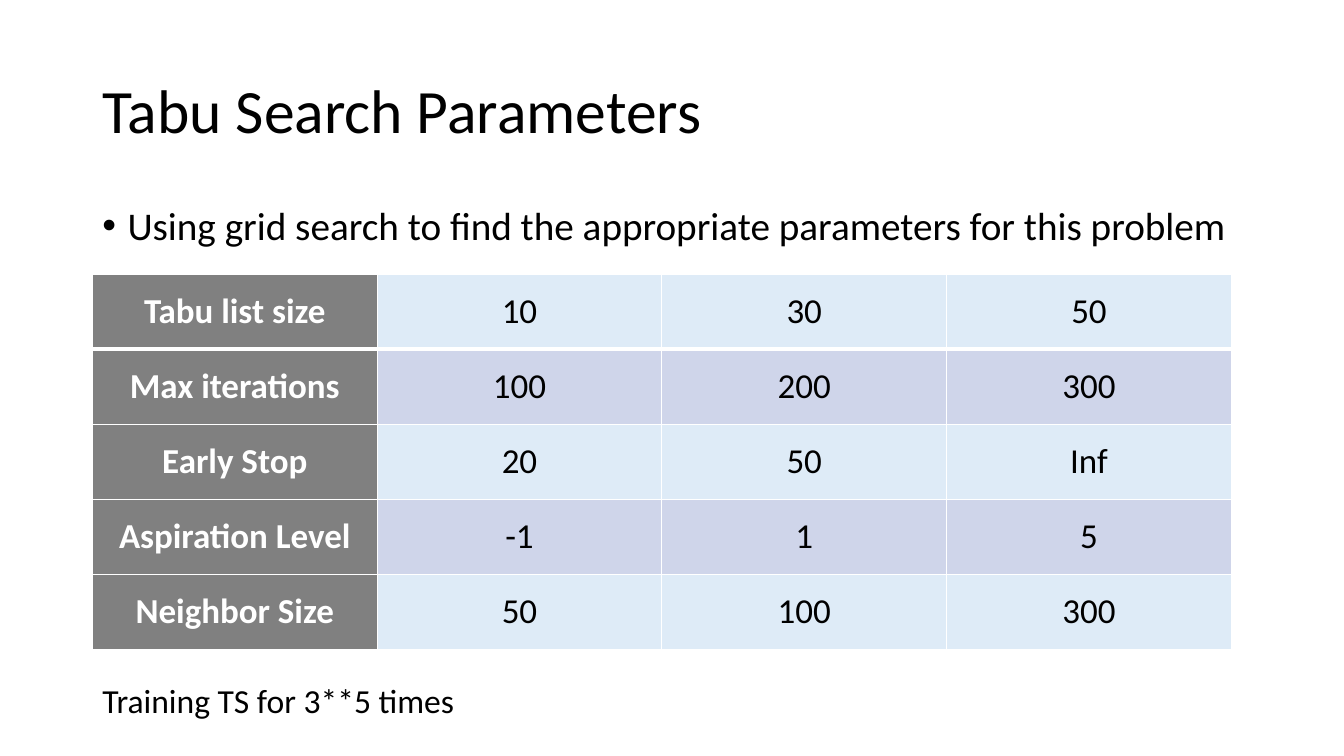
from dataclasses import dataclass

from lxml.etree import SubElement
from pptx import Presentation
from pptx.dml.color import RGBColor
from pptx.enum.text import MSO_ANCHOR as Anchor, MSO_AUTO_SIZE as AutoSize, PP_ALIGN as Align
from pptx.oxml.ns import qn
from pptx.util import Inches, Pt

# Grid of 160 columns by 90 rows
SLIDE_WIDTH, SLIDE_HEIGHT = Inches(13.333), Inches(7.5)
GRID_COLUMNS, GRID_ROWS = 160, 90
LEFT_MARGIN = 11
FONT = "Calibri"
COLORS = {
    "text": "000000",
    "white": "FFFFFF",
    "header": "808080",
    "light band": "DEEBF7",
    "dark band": "CFD5EA",
}


@dataclass
class Area:
    left: float
    top: float
    width: float
    height: float

    def to_emu(self) -> tuple[int, int, int, int]:
        return (across(self.left), down(self.top), across(self.width), down(self.height))


@dataclass
class Parameter:
    name: str
    values: tuple[str, ...]


PARAMETERS = [
    Parameter("Tabu list size", ("10", "30", "50")),
    Parameter("Max iterations", ("100", "200", "300")),
    Parameter("Early Stop", ("20", "50", "Inf")),
    Parameter("Aspiration Level", ("-1", "1", "5")),
    Parameter("Neighbor Size", ("50", "100", "300")),
]


def across(columns: float) -> int:
    return round(SLIDE_WIDTH * columns / GRID_COLUMNS)


def down(rows: float) -> int:
    return round(SLIDE_HEIGHT * rows / GRID_ROWS)


def add_run(paragraph, text: str, size: float, color: str = "text", bold: bool = False) -> None:
    run = paragraph.add_run()
    run.text = text
    run.font.name = FONT
    run.font.size = Pt(size)
    run.font.bold = bold
    run.font.color.rgb = RGBColor.from_string(COLORS[color])


def add_bullet(paragraph, indent: int) -> None:
    properties = paragraph._p.get_or_add_pPr()
    properties.set("marL", str(indent))
    properties.set("indent", str(-indent))
    SubElement(properties, qn("a:buFont"), typeface="Arial")
    SubElement(properties, qn("a:buChar"), char="•")


def add_text(slide, area: Area, text: str, size: float, wrap: bool = True):
    frame = slide.shapes.add_textbox(*area.to_emu()).text_frame
    frame.word_wrap = wrap
    add_run(frame.paragraphs[0], text, size)
    return frame


def set_borders(cell, top: float, bottom: float) -> None:
    properties = cell._tc.get_or_add_tcPr()
    for side, width in (("L", 1), ("R", 1), ("T", top), ("B", bottom)):
        line = SubElement(properties, qn(f"a:ln{side}"), w=str(Pt(width)))
        fill = SubElement(line, qn("a:solidFill"))
        SubElement(fill, qn("a:srgbClr"), val=COLORS["white"])


def format_cell(cell, text: str, row: int, is_header: bool) -> None:
    set_borders(cell, top=3 if row == 1 else 1, bottom=3 if row == 0 else 1)
    band = "dark band" if row % 2 else "light band"
    cell.fill.solid()
    cell.fill.fore_color.rgb = RGBColor.from_string(COLORS["header" if is_header else band])
    cell.vertical_anchor = Anchor.MIDDLE
    paragraph = cell.text_frame.paragraphs[0]
    paragraph.alignment = Align.CENTER
    add_run(paragraph, text, 25, "white" if is_header else "text", is_header)


def add_parameter_table(slide, area: Area, parameters: list[Parameter]) -> None:
    column_count = 1 + len(parameters[0].values)
    table = slide.shapes.add_table(len(parameters), column_count, *area.to_emu()).table
    table.first_row = False
    table.first_col = True
    for row, parameter in enumerate(parameters):
        for column, text in enumerate((parameter.name, *parameter.values)):
            format_cell(table.cell(row, column), text, row, column == 0)


def main() -> None:
    presentation = Presentation()
    presentation.slide_width, presentation.slide_height = SLIDE_WIDTH, SLIDE_HEIGHT
    slide = presentation.slides.add_slide(presentation.slide_layouts[5])

    # Title
    title = slide.shapes.title
    title.left, title.top, title.width, title.height = Area(LEFT_MARGIN, 4.8, 138, 17.4).to_emu()
    title.text_frame.vertical_anchor = Anchor.MIDDLE
    heading = title.text_frame.paragraphs[0]
    heading.alignment = Align.LEFT
    heading.line_spacing = 0.9
    add_run(heading, "Tabu Search Parameters", 44)

    # Bulleted statement
    statement = add_text(
        slide, Area(LEFT_MARGIN, 24, 138, 7),
        "Using grid search to find the appropriate parameters for this problem", 28,
    ).paragraphs[0]
    add_bullet(statement, across(3))
    statement.line_spacing = 0.9

    # Parameter grid
    add_parameter_table(slide, Area(LEFT_MARGIN, 32.65, 135.6, 44.65), PARAMETERS)

    # Number of training runs
    note = add_text(
        slide, Area(LEFT_MARGIN, 80.4, 44.8, 6), "Training TS for 3**5 times", 24, wrap=False
    )
    note.auto_size = AutoSize.SHAPE_TO_FIT_TEXT

    presentation.save("out.pptx")


if __name__ == "__main__":
    main()
